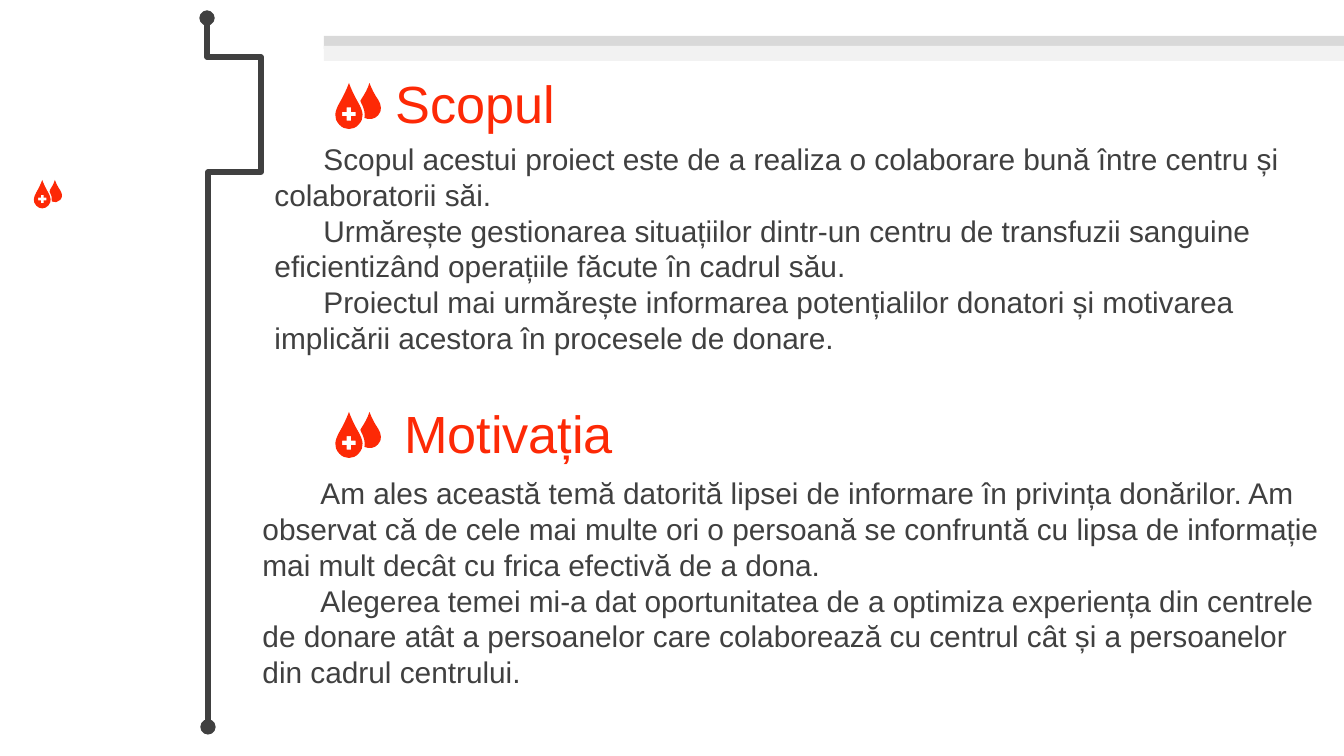
from lxml.etree import SubElement
from pptx import Presentation
from pptx.dml.color import RGBColor
from pptx.enum.shapes import MSO_SHAPE
from pptx.enum.text import MSO_ANCHOR, MSO_AUTO_SIZE, PP_ALIGN
from pptx.oxml.ns import qn
from pptx.util import Emu, Pt

EMU_PER_PX = 914400 / 134.4
COLORS = {"accent": "FD2906", "ink": "404040", "band": "D9D9D9", "pale_band": "F2F2F2"}
FONT = "Arial"
HEADING_INDENT = 58

GOALS = [
    ("Scopul acestui proiect este de a realiza o colaborare bună între centru și "
     "colaboratorii săi.", 49),
    ("Urmărește gestionarea situațiilor dintr-un centru de transfuzii sanguine "
     "eficientizând operațiile făcute în cadrul său.", 49),
    ("Proiectul mai urmărește informarea potențialilor donatori și motivarea "
     "implicării acestora în procesele de donare.", 49),
]
MOTIVES = [
    ("Am ales această temă datorită lipsei de informare în privința donărilor. Am "
     "observat că de cele mai multe ori o persoană se confruntă cu lipsa de informație "
     "mai mult decât cu frica efectivă de a dona.", 58),
    ("Alegerea temei mi-a dat oportunitatea de a optimiza experiența din centrele "
     "de donare atât a persoanelor care colaborează cu centrul cât și a persoanelor", 58),
    ("din cadrul centrului.", 0),
]

SPINE = [(207, 18), (207, 57), (261, 57), (261, 172), (208, 172), (208, 727)]

ICON_WIDTH = 470
FRONT_DROP = [
    (150, 0),
    (180, 80), (207, 134), (246, 202),
    (290, 282), (310, 350), (246, 417),
    (195, 475), (105, 475), (54, 417),
    (-10, 350), (10, 282), (54, 202),
    (93, 134), (120, 80), (150, 0),
]
BACK_DROP = [
    (355, 0),
    (380, 67), (410, 121), (440, 165),
    (475, 220), (485, 280), (440, 325),
    (405, 365), (350, 370), (305, 350),
    (315, 300), (300, 250), (270, 195),
    (262, 183), (262, 175), (275, 160),
    (310, 105), (335, 65), (355, 0),
]
CROSS = [
    (172, 243), (128, 243), (128, 288), (83, 288), (83, 332), (128, 332),
    (128, 377), (172, 377), (172, 332), (217, 332), (217, 288), (172, 288),
]


def px(value):
    return Emu(round(value * EMU_PER_PX))


def color(name):
    return RGBColor.from_string(COLORS[name])


def place(box, left, top, width, height):
    box.left, box.top, box.width, box.height = map(px, (left, top, width, height))


def write(box, paragraphs, size, tint, anchor):
    frame = box.text_frame
    frame.word_wrap = True
    frame.auto_size = MSO_AUTO_SIZE.NONE
    frame.vertical_anchor = anchor
    frame.text = "\n".join(text for text, _ in paragraphs)
    for paragraph, (_, indent) in zip(frame.paragraphs, paragraphs):
        paragraph.alignment = PP_ALIGN.LEFT
        paragraph.space_before = Pt(0)
        properties = paragraph._p.get_or_add_pPr()
        properties.set("marL", "0")
        properties.set("indent", str(px(indent)))
        SubElement(properties, qn("a:buNone"))
        for run in paragraph.runs:
            run.font.name = FONT
            run.font.size = Pt(size)
            run.font.color.rgb = color(tint)


def add_heading(box, text, left, top):
    place(box, left, top, 968, 85)
    write(box, [(text, HEADING_INDENT)], 28, "accent", MSO_ANCHOR.MIDDLE)


def add_body(box, paragraphs, left, top, width, height):
    place(box, left, top, width, height)
    write(box, paragraphs, 16, "ink", MSO_ANCHOR.TOP)


def fill_plain(shape, tint):
    shape.shadow.inherit = False
    shape.fill.solid()
    shape.fill.fore_color.rgb = color(tint)
    shape.line.fill.background()


def add_band(slide, top, height, tint):
    band = slide.shapes.add_shape(
        MSO_SHAPE.RECTANGLE, px(324), px(top), px(1020), px(height))
    fill_plain(band, tint)


def add_spine(slide):
    builder = slide.shapes.build_freeform(*SPINE[0], scale=EMU_PER_PX)
    builder.add_line_segments(SPINE[1:], close=False)
    spine = builder.convert_to_shape()
    spine.shadow.inherit = False
    spine.fill.background()
    spine.line.color.rgb = color("ink")
    spine.line.width = Pt(2.75)
    outline = spine.line._get_or_add_ln()
    SubElement(outline, qn("a:round"))
    for end in ("a:headEnd", "a:tailEnd"):
        SubElement(outline, qn(end), type="oval")


def curve_segments(segments):
    for start in range(0, len(segments), 3):
        controls = segments[start:start + 3]
        curve = SubElement(controls[0].getparent(), qn("a:cubicBezTo"))
        controls[0].addprevious(curve)
        for segment in controls:
            curve.append(segment[0])
            segment.getparent().remove(segment)


def add_drops(slide, left, top, width):
    builder = slide.shapes.build_freeform(
        *CROSS[0], scale=EMU_PER_PX * width / ICON_WIDTH)
    builder.add_line_segments(CROSS[1:], close=True)
    for drop in (BACK_DROP, FRONT_DROP):
        builder.move_to(*drop[0])
        builder.add_line_segments(drop[1:], close=True)
    drops = builder.convert_to_shape(px(left), px(top))
    segments = list(drops._element.iter(qn("a:lnTo")))
    curve_segments(segments[len(CROSS) - 1:])
    fill_plain(drops, "accent")


def main():
    deck = Presentation()
    deck.slide_width, deck.slide_height = px(1344), px(756)
    slide = deck.slides.add_slide(deck.slide_layouts[3])
    goal_heading, goal_body, motive_body = slide.placeholders

    add_heading(goal_heading, "Scopul", 324, 60)
    add_spine(slide)
    add_band(slide, 36, 13, "band")
    add_band(slide, 46, 15, "pale_band")
    add_body(goal_body, GOALS, 261, 134, 1094, 267)
    add_body(motive_body, MOTIVES, 249, 468, 1106, 231)
    motive_heading = slide.shapes.add_textbox(0, 0, 0, 0)
    add_heading(motive_heading, "Motivația", 333, 390)
    for left, top, width in ((334, 83, 47), (334, 412, 47), (33, 180, 29)):
        add_drops(slide, left, top, width)

    deck.save("out.pptx")


if __name__ == "__main__":
    main()
